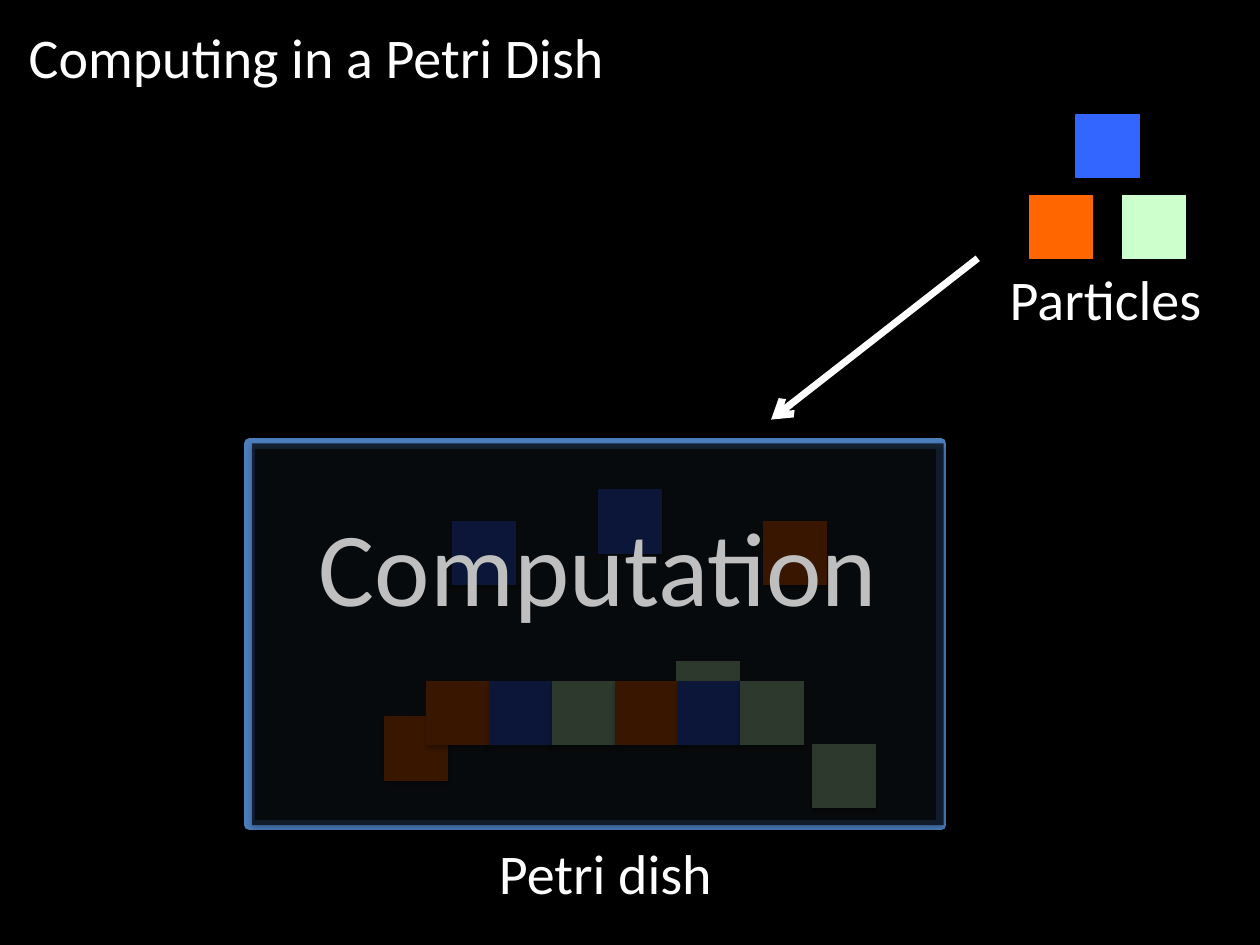
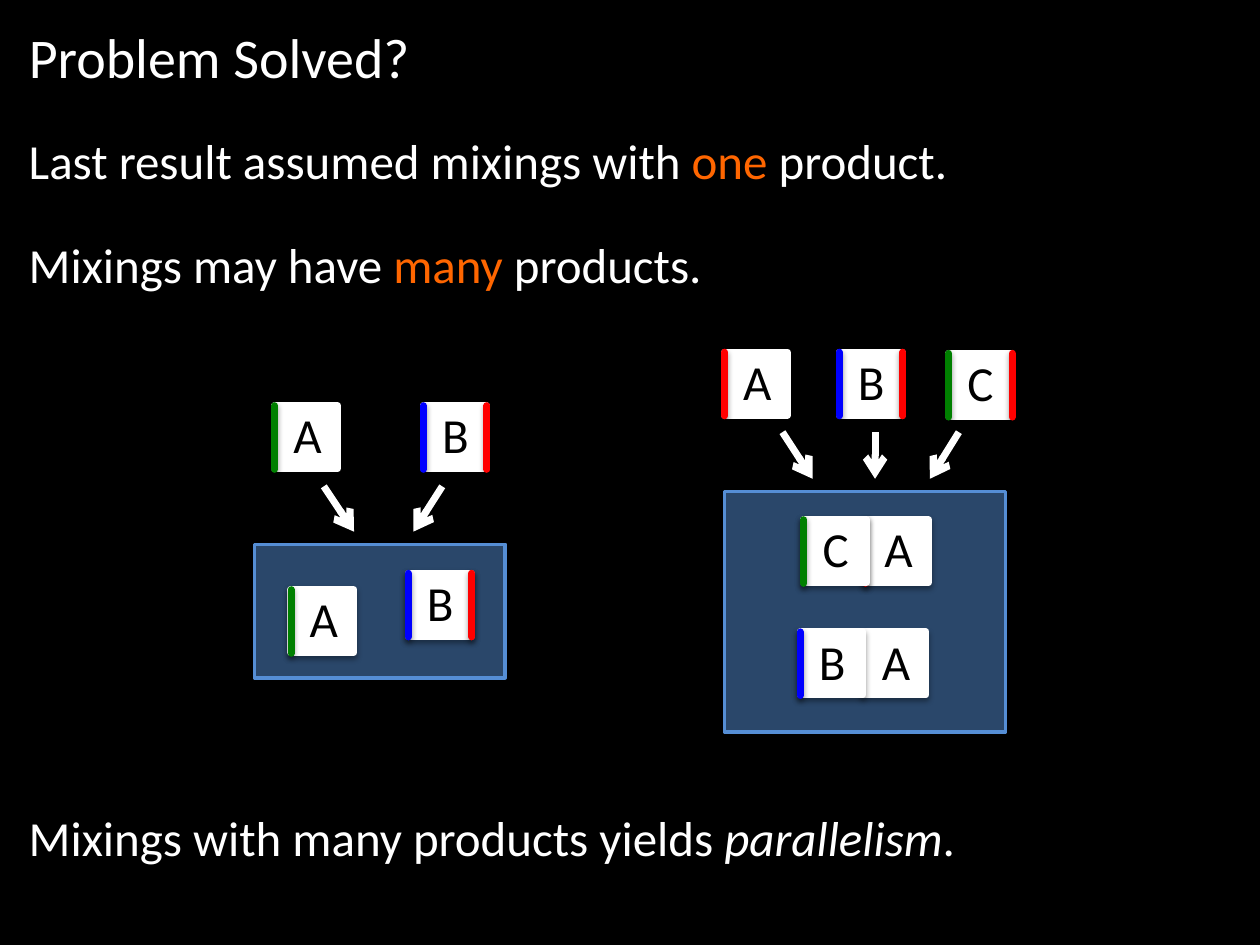
from dataclasses import dataclass
from typing import NamedTuple, Optional

import pptx
import pptx.dml.color
import pptx.enum.shapes
import pptx.enum.text
import pptx.oxml
import pptx.oxml.ns
import pptx.util
from lxml import etree

RGB = pptx.dml.color.RGBColor
Pt = pptx.util.Pt
ALIGN = pptx.enum.text.PP_ALIGN
qn = pptx.oxml.ns.qn

# Colours
BLACK = RGB(0x00, 0x00, 0x00)
WHITE = RGB(0xFF, 0xFF, 0xFF)
GREY = RGB(0xBF, 0xBF, 0xBF)
ORANGE = RGB(0xFF, 0x66, 0x00)
SKY = RGB(0x33, 0x66, 0xFF)
MINT = RGB(0xCC, 0xFF, 0xCC)
RED = RGB(0xFF, 0x00, 0x00)
GREEN = RGB(0x00, 0x80, 0x00)
BLUE = RGB(0x00, 0x00, 0xFF)
DISH_FILL = RGB(0x8E, 0xB4, 0xE3)
DISH_LINE = RGB(0x4B, 0x7E, 0xBC)
TRAY = RGB(0x55, 0x8E, 0xD5)

# The grid has 100 columns and 75 rows of equal pitch
SLIDE_WIDTH, SLIDE_HEIGHT = pptx.util.Inches(10), pptx.util.Inches(7.5)
COLUMNS = 100
MARGIN = 1.3
SQUARE = 5.0
EDGE = 5.05
FONT = "Calibri"
TITLE_SIZE, BODY_SIZE, BANNER_SIZE = 32, 28, 60
LINE_HEIGHT = {TITLE_SIZE: 6.4, BODY_SIZE: 5.7, BANNER_SIZE: 11.1}
LETTER_WIDTH = {"A": 7.0, "B": 4.5, "C": 4.5}
FRAME_FORMAT = {
    "word_wrap": True,
    "auto_size": pptx.enum.text.MSO_AUTO_SIZE.SHAPE_TO_FIT_TEXT,
}


class Run(NamedTuple):
    text: str
    color: RGB = WHITE
    italic: bool = False


class Box(NamedTuple):
    left: float
    top: float
    width: float
    height: float


class Square(NamedTuple):
    left: float
    top: float
    color: RGB


class Arrow(NamedTuple):
    start_x: float
    start_y: float
    end_x: float
    end_y: float


class Tile(NamedTuple):
    letter: str
    left: float
    top: float
    left_edge: Optional[RGB] = None
    right_edge: Optional[RGB] = None


@dataclass
class Mixing:
    inputs: list[Tile]
    tray: Box
    arrows: list[Arrow]
    products: list[Tile]


def grid(*units: float) -> list[int]:
    return [round(unit * SLIDE_WIDTH / COLUMNS) for unit in units]


def set_format(target, values: dict) -> None:
    for name, value in values.items():
        setattr(target, name, value)


# Drawing helpers
def add_shadow(shape, opacity: int, distance: float) -> None:
    properties = shape.element.spPr
    effects = properties.find(qn("a:effectLst"))
    if effects is None:
        effects = etree.SubElement(properties, qn("a:effectLst"))
    shadow = etree.SubElement(
        effects, qn("a:outerShdw"), blurRad=str(Pt(3.1)), dist=str(Pt(distance)),
        dir="5400000", rotWithShape="0")
    color = etree.SubElement(shadow, qn("a:srgbClr"), val=str(BLACK))
    etree.SubElement(color, qn("a:alpha"), val=str(opacity * 1000))


def add_text(slide, runs: list[Run], left: float, top: float, width: float,
             size: int = BODY_SIZE, alignment=ALIGN.LEFT) -> None:
    box = slide.shapes.add_textbox(*grid(left, top, width, LINE_HEIGHT[size]))
    set_format(box.text_frame, FRAME_FORMAT)
    paragraph = box.text_frame.paragraphs[0]
    paragraph.alignment = alignment
    for part in runs:
        run = paragraph.add_run()
        run.text = part.text
        set_format(run.font, {"name": FONT, "size": Pt(size), "italic": part.italic})
        run.font.color.rgb = part.color


def add_rectangle(slide, box: Box, fill: RGB, opacity: int = 100,
                  line: Optional[RGB] = None, line_width: float = 0.75) -> None:
    shape = slide.shapes.add_shape(
        pptx.enum.shapes.MSO_SHAPE.RECTANGLE, *grid(*box))
    shape.fill.solid()
    shape.fill.fore_color.rgb = fill
    if opacity < 100:
        color = shape.element.spPr.find(f"{qn('a:solidFill')}/{qn('a:srgbClr')}")
        etree.SubElement(color, qn("a:alpha"), val=str(opacity * 1000))
    if line is None:
        shape.line.fill.background()
    else:
        shape.line.color.rgb = line
        shape.line.width = Pt(line_width)
    shape.shadow.inherit = False
    add_shadow(shape, 35, 1.8)


def add_line(slide, ends: Arrow, color: RGB, arrowhead: bool = False) -> None:
    connector = slide.shapes.add_connector(
        pptx.enum.shapes.MSO_CONNECTOR.STRAIGHT, *grid(*ends))
    connector.line.color.rgb = color
    connector.line.width = Pt(4)
    outline = connector.element.spPr.find(qn("a:ln"))
    if arrowhead:
        etree.SubElement(outline, qn("a:tailEnd"), type="arrow")
    else:
        outline.set("cap", "rnd")
    add_shadow(connector, 38, 1.6)


def add_square(slide, square: Square) -> None:
    add_rectangle(slide, Box(square.left, square.top, SQUARE, SQUARE),
                  square.color, line=square.color)


def add_tile(slide, tile: Tile) -> None:
    add_rectangle(slide, Box(tile.left, tile.top, SQUARE, SQUARE),
                  WHITE, line=WHITE, line_width=4)
    for color, x in ((tile.right_edge, tile.left + EDGE), (tile.left_edge, tile.left)):
        if color is not None:
            add_line(slide, Arrow(x, tile.top + EDGE, x, tile.top), color)
    add_text(slide, [Run(tile.letter, BLACK)], tile.left + 0.5, tile.top - 0.55,
             LETTER_WIDTH[tile.letter])


def add_mixing(slide, mixing: Mixing) -> None:
    for tile in mixing.inputs:
        add_tile(slide, tile)
    add_rectangle(slide, mixing.tray, TRAY, 50, TRAY, 2)
    for arrow in mixing.arrows:
        add_line(slide, arrow, WHITE, arrowhead=True)
    for tile in mixing.products:
        add_tile(slide, tile)


def add_titled_slide(presentation, title: str, width: float):
    slide = presentation.slides.add_slide(presentation.slide_layouts[6])
    slide.background.fill.solid()
    slide.background.fill.fore_color.rgb = BLACK
    add_text(slide, [Run(title)], MARGIN, MARGIN, width, TITLE_SIZE)
    return slide


# Slide 1 content
DISH = Box(19.8, 35.2, 54.9, 30.3)
VEIL = DISH._replace(left=20)
SUPPLY = [Square(81.7, 15.5, ORANGE), Square(85.4, 9.1, SKY), Square(89.1, 15.5, MINT)]
LOOSE = [
    Square(30.5, 56.9, ORANGE), Square(35.9, 41.4, SKY), Square(53.7, 52.5, MINT),
    Square(64.5, 59.1, MINT), Square(47.5, 38.9, SKY), Square(60.6, 41.4, ORANGE),
]
CHAIN = [Square(33.9 + 4.98 * index, 54.1, color)
         for index, color in enumerate([ORANGE, SKY, MINT] * 2)]

# Slide 2 content
STATEMENTS = [
    (9.9, 93.3, [Run("Last result assumed mixings with "), Run("one", ORANGE),
                 Run(" product.")]),
    (18.1, 98.7, [Run("Mixings may have "), Run("many", ORANGE), Run(" products.")]),
    (63.6, 93.3, [Run("Mixings with many products yields "),
                  Run("parallelism", italic=True), Run(".")]),
]
MIXINGS = [
    Mixing(
        inputs=[Tile("B", 33.6, 32.2, BLUE, RED), Tile("A", 21.8, 32.2, GREEN)],
        tray=Box(20.2, 43.2, 19.9, 10.6),
        arrows=[Arrow(25.7, 38.6, 28.1, 42.2), Arrow(35.1, 38.6, 32.8, 42.2)],
        products=[Tile("B", 32.4, 45.5, BLUE, RED), Tile("A", 23.1, 46.8, GREEN)],
    ),
    Mixing(
        inputs=[Tile("B", 66.6, 27.95, BLUE, RED), Tile("A", 57.5, 27.95, RED),
                Tile("C", 75.3, 28.05, GREEN, RED)],
        tray=Box(57.5, 39, 22.3, 19.1),
        arrows=[Arrow(62.1, 34.3, 64.5, 38), Arrow(76.1, 34.3, 73.8, 38),
                Arrow(69.45, 34.3, 69.45, 38)],
        products=[Tile("A", 68.7, 41.25, RED), Tile("C", 63.8, 41.25, GREEN),
                  Tile("A", 68.5, 50.15), Tile("B", 63.5, 50.15, BLUE)],
    ),
]


def build_petri_dish(presentation) -> None:
    slide = add_titled_slide(presentation, "Computing in a Petri Dish", 54)
    add_rectangle(slide, DISH, DISH_FILL, 25, DISH_LINE, 6)
    add_text(slide, [Run("Petri dish")], 33, 66.1, 30.1, TITLE_SIZE, ALIGN.CENTER)
    for square in SUPPLY:
        add_square(slide, square)
    add_text(slide, [Run("Particles")], 72.7, 20.5, 30.1, TITLE_SIZE, ALIGN.CENTER)
    add_line(slide, Arrow(77.6, 20.5, 61.2, 33.3), WHITE, arrowhead=True)
    for square in LOOSE + CHAIN:
        add_square(slide, square)
    # Dark veil with the banner word
    add_rectangle(slide, VEIL, BLACK, 70)
    add_text(slide, [Run("Computation", GREY)], 18.5, 39.3, 57.9,
             BANNER_SIZE, ALIGN.CENTER)


def build_problem_solved(presentation) -> None:
    slide = add_titled_slide(presentation, "Problem Solved?", 89.9)
    for top, width, runs in STATEMENTS:
        add_text(slide, runs, MARGIN, top, width)
    for mixing in MIXINGS:
        add_mixing(slide, mixing)


def main() -> None:
    presentation = pptx.Presentation()
    set_format(presentation, {"slide_width": SLIDE_WIDTH, "slide_height": SLIDE_HEIGHT})
    build_petri_dish(presentation)
    build_problem_solved(presentation)
    presentation.save("out.pptx")


if __name__ == "__main__":
    main()
